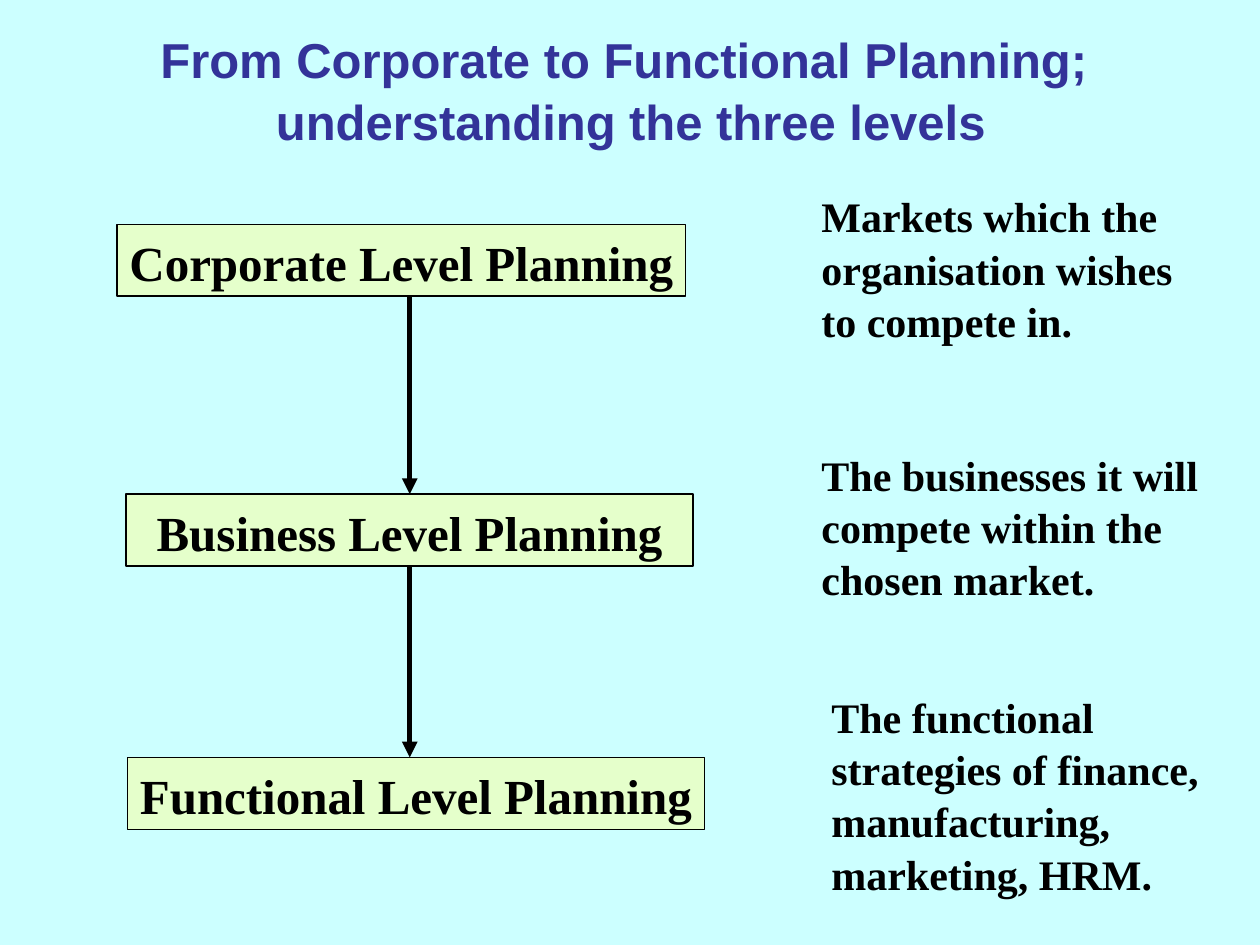
from dataclasses import dataclass

from lxml import etree
from pptx import Presentation
from pptx.dml.color import RGBColor
from pptx.enum import shapes, text
from pptx.oxml import ns
from pptx.util import Cm, Pt


@dataclass(frozen=True)
class Theme:
    background: str = "CCFFFF"
    heading: str = "333399"
    ink: str = "000000"
    level_fill: str = "FFFF99"
    heading_font: str = "Arial"
    body_font: str = "Times New Roman"
    large: int = 28
    medium: int = 24
    line_spacing: float = 1.04


THEME = Theme()

TITLE = "From Corporate to Functional Planning; \vunderstanding the three levels"
TITLE_BOX = (1.07, 0.2, 23.29, 3.18)

# label, label box, wraps, description, description box (cm)
LEVELS = [
    ("Corporate Level Planning", (2.36, 4.52, 11.46, 1.45), False,
     "Markets which the\norganisation wishes\nto compete in.",
     (16.31, 3.68, 7.59, 3.3)),
    ("Business Level Planning", (2.54, 9.96, 11.43, 1.45), True,
     "The businesses it will\ncompete within the\nchosen market.",
     (16.31, 8.89, 8.31, 3.3)),
    ("Functional Level Planning", (2.57, 15.27, 11.63, 1.45), False,
     "The functional\nstrategies of finance,\nmanufacturing,\nmarketing, HRM.",
     (16.51, 13.77, 8.13, 4.32)),
]
ARROW_X = 8.26


def rgb(colour):
    return RGBColor.from_string(colour)


def lengths(box):
    return [Cm(value) for value in box]


def style_text(frame, size, font, colour, align):
    for paragraph in frame.paragraphs:
        paragraph.alignment = align
        paragraph.line_spacing = THEME.line_spacing
        for run in paragraph.runs:
            run.font.size = Pt(size)
            run.font.name = font
            run.font.bold = True
            run.font.color.rgb = rgb(colour)


def add_title(slide, box):
    title = slide.shapes.title
    title.left, title.top, title.width, title.height = lengths(box)
    frame = title.text_frame
    frame.paragraphs[0].text = TITLE
    frame.vertical_anchor = text.MSO_ANCHOR.MIDDLE
    frame.auto_size = text.MSO_AUTO_SIZE.NONE
    style_text(frame, THEME.large, THEME.heading_font, THEME.heading,
               text.PP_ALIGN.CENTER)


def add_level(slide, box, label, wraps):
    level = slide.shapes.add_shape(shapes.MSO_SHAPE.RECTANGLE, *lengths(box))
    level.shadow.inherit = False
    level.fill.solid()
    level.fill.fore_color.rgb = rgb(THEME.level_fill)
    colour = level.fill._xPr.find(".//" + ns.qn("a:srgbClr"))
    etree.SubElement(colour, ns.qn("a:alpha"), val="50000")
    level.line.color.rgb = rgb(THEME.ink)
    level.line.width = Pt(0.75)
    frame = level.text_frame
    frame.text = label
    frame.word_wrap = wraps
    frame.vertical_anchor = text.MSO_ANCHOR.TOP
    frame.auto_size = text.MSO_AUTO_SIZE.SHAPE_TO_FIT_TEXT
    style_text(frame, THEME.large, THEME.body_font, THEME.ink,
               text.PP_ALIGN.CENTER)


def add_description(slide, box, wording):
    frame = slide.shapes.add_textbox(*lengths(box)).text_frame
    frame.text = wording
    frame.word_wrap = False
    frame.auto_size = text.MSO_AUTO_SIZE.SHAPE_TO_FIT_TEXT
    style_text(frame, THEME.medium, THEME.body_font, THEME.ink,
               text.PP_ALIGN.LEFT)


def add_arrow(slide, x, top, bottom):
    arrow = slide.shapes.add_connector(
        shapes.MSO_CONNECTOR.STRAIGHT, Cm(x), Cm(top), Cm(x), Cm(bottom))
    arrow.line.color.rgb = rgb(THEME.ink)
    arrow.line.width = Pt(3)
    etree.SubElement(arrow.line._get_or_add_ln(), ns.qn("a:tailEnd"),
                     type="triangle")
    etree.SubElement(arrow._element.spPr, ns.qn("a:effectLst"))


def main():
    deck = Presentation()
    deck.slide_width, deck.slide_height = Cm(25.4), Cm(19.05)
    slide = deck.slides.add_slide(deck.slide_layouts.get_by_name("Title Only"))
    slide.background.fill.solid()
    slide.background.fill.fore_color.rgb = rgb(THEME.background)

    add_title(slide, TITLE_BOX)
    for label, label_box, wraps, wording, wording_box in LEVELS:
        add_level(slide, label_box, label, wraps)
        add_description(slide, wording_box, wording)
    for upper, lower in zip(LEVELS, LEVELS[1:]):
        _, top, _, height = upper[1]
        add_arrow(slide, ARROW_X, top + height, lower[1][1])

    deck.save("out.pptx")


if __name__ == "__main__":
    main()
